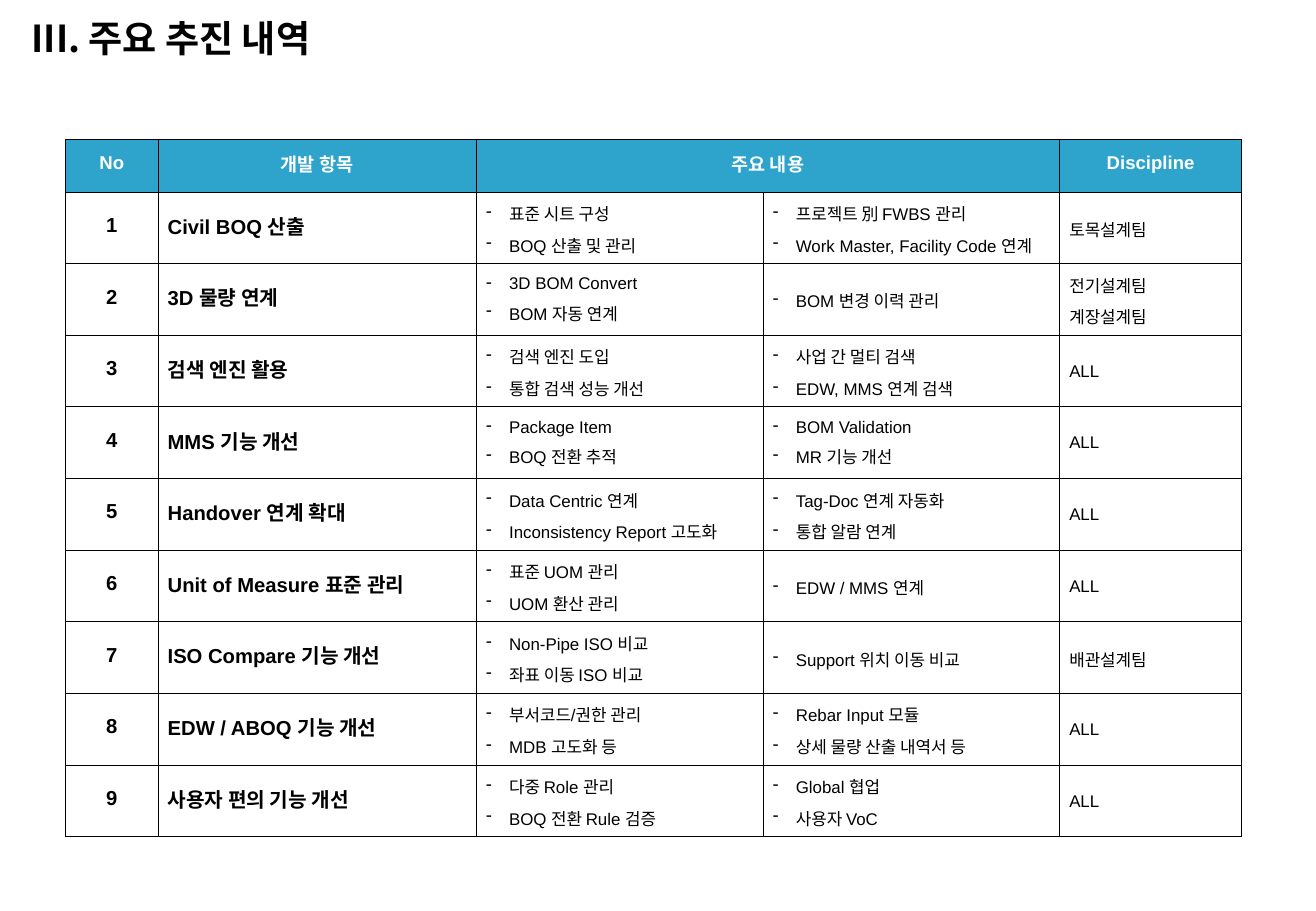
import pptx
import pptx.dml.color
import pptx.enum.text
import pptx.oxml
import pptx.oxml.ns
import pptx.util

Inches = pptx.util.Inches
Pt = pptx.util.Pt
RGBColor = pptx.dml.color.RGBColor
Align = pptx.enum.text.PP_ALIGN
Anchor = pptx.enum.text.MSO_ANCHOR

BLACK = RGBColor(0x00, 0x00, 0x00)
WHITE = RGBColor(0xFF, 0xFF, 0xFF)
BLUE = RGBColor(0x2E, 0xA3, 0xCC)
LATIN = "Arial"
KOREAN = "Noto Sans CJK KR"

HEADER_HEIGHT = 0.43
ROW_HEIGHT = 0.59

HEADERS = ["No", "개발 항목", "주요 내용", "Discipline"]
ITEMS = [
    ("Civil BOQ 산출", ["표준 시트 구성", "BOQ 산출 및 관리"],
     ["프로젝트 別 FWBS 관리", "Work Master, Facility Code 연계"], ["토목설계팀"]),
    ("3D 물량 연계", ["3D BOM Convert", "BOM 자동 연계"],
     ["BOM 변경 이력 관리"], ["전기설계팀", "계장설계팀"]),
    ("검색 엔진 활용", ["검색 엔진 도입", "통합 검색 성능 개선"],
     ["사업 간 멀티 검색", "EDW, MMS 연계 검색"], ["ALL"]),
    ("MMS 기능 개선", ["Package Item", "BOQ 전환 추적"],
     ["BOM Validation", "MR 기능 개선"], ["ALL"]),
    ("Handover 연계 확대", ["Data Centric 연계", "Inconsistency Report 고도화"],
     ["Tag-Doc 연계 자동화", "통합 알람 연계"], ["ALL"]),
    ("Unit of Measure 표준 관리", ["표준 UOM 관리", "UOM 환산 관리"],
     ["EDW / MMS 연계"], ["ALL"]),
    ("ISO Compare 기능 개선", ["Non-Pipe ISO 비교", "좌표 이동 ISO 비교"],
     ["Support 위치 이동 비교"], ["배관설계팀"]),
    ("EDW / ABOQ 기능 개선", ["부서코드/권한 관리", "MDB 고도화 등"],
     ["Rebar Input 모듈", "상세 물량 산출 내역서 등"], ["ALL"]),
    ("사용자 편의 기능 개선", ["다중 Role 관리", "BOQ 전환 Rule 검증"],
     ["Global 협업", "사용자 VoC"], ["ALL"]),
]

HEADER = {"size": 11, "bold": True, "color": WHITE, "align": Align.CENTER,
          "fill": BLUE, "top": 0.04, "bottom": 0.08}
NUMBER = {"size": 12, "bold": True, "align": Align.CENTER}
NAME = {"size": 12, "bold": True}
TEAM = {"size": 10, "spacing": 1.3}
DETAIL = {**TEAM, "bullet": "-"}


def set_all(target, values):
    for name, value in values.items():
        setattr(target, name, value)


def element(parent, tag, **attributes):
    child = pptx.oxml.parse_xml(f"<a:{tag} {pptx.oxml.ns.nsdecls('a')}/>")
    for name, value in attributes.items():
        child.set(name, str(value))
    parent.append(child)
    return child


class Page:
    def __init__(self, deck):
        self.slide = deck.slides.add_slide(deck.slide_layouts[5])

    def add_text(self, para, text, style):
        if "bullet" in style:
            properties = para._p.get_or_add_pPr()
            properties.set("marL", str(Inches(0.19)))
            properties.set("indent", str(Inches(-0.19)))
            element(properties, "buChar", char=style["bullet"])
        set_all(para, {"alignment": style.get("align", Align.LEFT),
                       "line_spacing": style.get("spacing", 1.0)})
        span = para.add_run()
        span.text = text
        set_all(span.font, {"size": Pt(style["size"]),
                            "bold": style.get("bold", False),
                            "name": style.get("font", LATIN)})
        span.font.color.rgb = style.get("color", BLACK)
        element(span._r.get_or_add_rPr(), "ea", typeface=KOREAN)

    def title(self, text, left, top, width, height):
        box = self.slide.shapes.title
        set_all(box, {"left": Inches(left), "top": Inches(top),
                      "width": Inches(width), "height": Inches(height)})
        set_all(box.text_frame, {"vertical_anchor": Anchor.MIDDLE, "word_wrap": True,
                                 "auto_size": pptx.enum.text.MSO_AUTO_SIZE.NONE})
        self.add_text(box.text_frame.paragraphs[0], text,
                      {"size": 22, "bold": True, "font": KOREAN})

    def border(self, cell):
        for side in ("lnL", "lnR", "lnT", "lnB"):
            line = element(cell._tc.get_or_add_tcPr(), side, w=Pt(0.5))
            element(element(line, "solidFill"), "srgbClr", val=BLACK)

    def fill_cell(self, cell, lines, style):
        set_all(cell, {"vertical_anchor": Anchor.MIDDLE,
                       "margin_left": Inches(0.08), "margin_right": Inches(0.08),
                       "margin_top": Inches(style.get("top", 0)),
                       "margin_bottom": Inches(style.get("bottom", 0.04))})
        if "fill" in style:
            cell.fill.solid()
            cell.fill.fore_color.rgb = style["fill"]
        else:
            cell.fill.background()
        for index, text in enumerate(lines):
            frame = cell.text_frame
            para = frame.add_paragraph() if index else frame.paragraphs[0]
            self.add_text(para, text, style)

    def table(self, left, top, widths, heights, rows):
        frame = self.slide.shapes.add_table(
            len(heights), len(widths), Inches(left), Inches(top),
            Inches(sum(widths)), Inches(sum(heights)))
        grid = frame.table
        set_all(grid, {"first_row": False, "horz_banding": False})
        for column, width in zip(grid.columns, widths):
            column.width = Inches(width)
        for row, height in zip(grid.rows, heights):
            row.height = Inches(height)
        for row, contents in enumerate(rows):
            for column in range(len(widths)):
                self.border(grid.cell(row, column))
            for column, (lines, style) in enumerate(contents):
                self.fill_cell(grid.cell(row, column), lines, style)
            if len(contents) < len(widths):
                grid.cell(row, len(contents) - 1).merge(grid.cell(row, len(widths) - 1))


def main():
    deck = pptx.Presentation()
    set_all(deck, {"slide_width": Inches(10.83), "slide_height": Inches(7.5)})
    page = Page(deck)
    page.title("III. 주요 추진 내역", 0.16, 0.01, 10.39, 0.6)

    item_heights = [ROW_HEIGHT] * len(ITEMS)
    item_rows = [[([str(number)], NUMBER), ([name], NAME), (details, DETAIL)]
                 for number, (name, details, _, _) in enumerate(ITEMS, 1)]
    team_rows = [[(details, DETAIL), (teams, TEAM)] for _, _, details, teams in ITEMS]
    page.table(0.54, 1.15, [0.76, 2.62, 4.8, 1.5], [HEADER_HEIGHT] + item_heights,
               [[([text], HEADER) for text in HEADERS]] + item_rows)
    page.table(6.28, 1.15 + HEADER_HEIGHT, [2.44, 1.5], item_heights, team_rows)
    deck.save("out.pptx")


if __name__ == "__main__":
    main()
